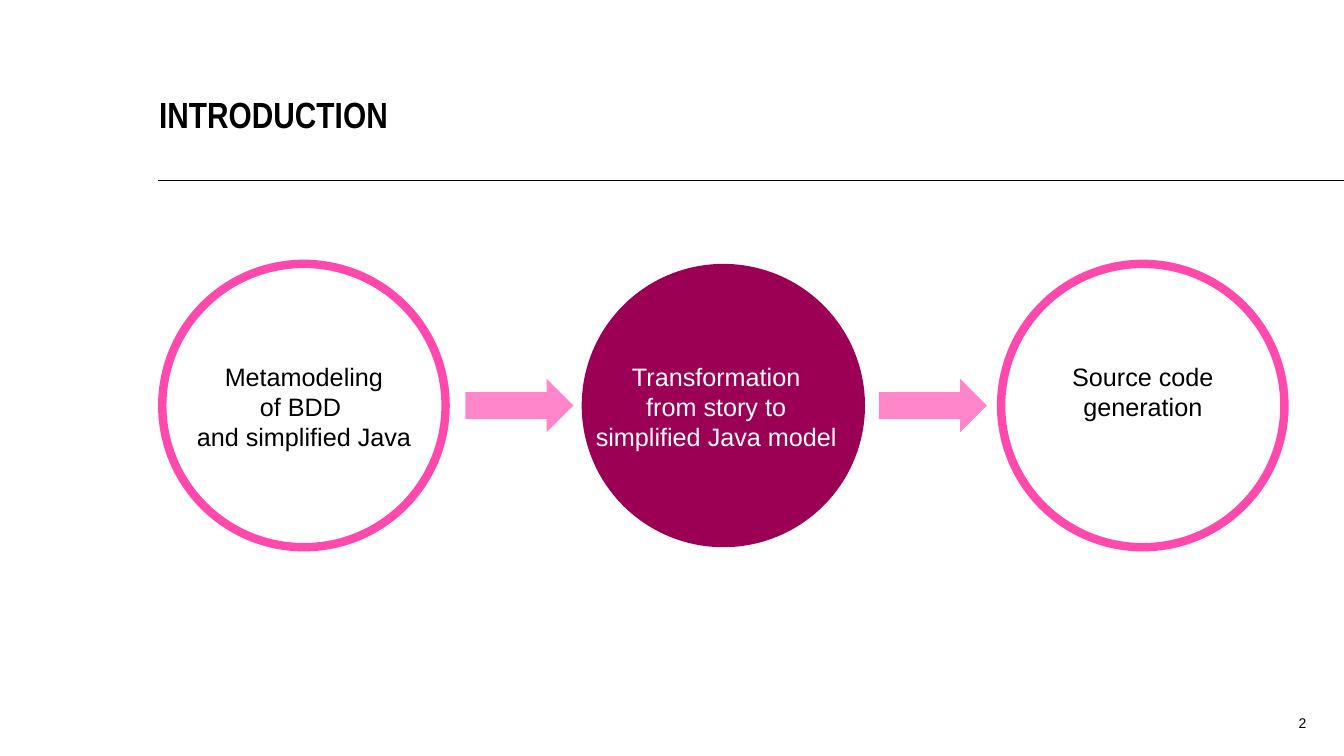
"""Builds the introduction slide: three circled steps joined by block arrows."""
from lxml.etree import SubElement
from pptx import Presentation
from pptx.dml.color import RGBColor
from pptx.enum.shapes import MSO_CONNECTOR, MSO_SHAPE
from pptx.enum.text import MSO_ANCHOR as ANCHOR, PP_ALIGN as ALIGN
from pptx.oxml.ns import qn
from pptx.util import Cm, Pt

TITLE = "INTRODUCTION"
PAGE = "2"
STEPS = [
    {"lines": ["Metamodeling", "of BDD ", "and simplified Java"], "width": 5.97, "shift": 0,
     "fill": None, "line": "ring", "text": "black"},
    {"lines": ["Transformation", "from story to", "simplified Java model"], "width": 6.63,
     "shift": -0.18, "fill": "plum", "line": None, "text": "white"},
    {"lines": ["Source code", "generation"], "width": 4.11, "shift": 0,
     "fill": None, "line": "ring", "text": "black"},
]
COLORS = {"black": "000000", "white": "FFFFFF", "ring": "FF49AD", "plum": "9B0055",
          "arrow": "FF86C9"}

SLIDE_W, SLIDE_H = 33.87, 19.05
RULE_X, RULE_Y = 3.99, 4.55
DIAMETER, CIRCLE_X, CIRCLE_Y, CIRCLE_STEP = 7.14, 4.09, 6.65, 10.57
ARROW_W, ARROW_H, ARROW_X, ARROW_STEP = 2.72, 1.35, 11.73, 10.42
TEXT_Y, LINE_H, TEXT_PAD = 8.97, 0.77, 0.26

TITLE_FONT = {"name": "Arial Narrow", "size": Pt(26), "bold": True}
STEP_FONT = {"name": "Arial", "size": Pt(18)}
PAGE_FONT = {"name": "Arial", "size": Pt(10)}
NO_MARGINS = {f"margin_{side}": 0 for side in ("left", "top", "right", "bottom")}


def rgb(name):
    return RGBColor.from_string(COLORS[name])


def set_all(target, values):
    for key, value in values.items():
        setattr(target, key, value)


def add_shape(s, kind, box, fill, line=None):
    sp = s.shapes.add_shape(kind, *map(Cm, box))
    sp.shadow.inherit = False
    if fill:
        sp.fill.solid()
        sp.fill.fore_color.rgb = rgb(fill)
    else:
        sp.fill.background()
    if line:
        sp.line.color.rgb = rgb(line)
        sp.line.width = Pt(6)
    else:
        sp.line.fill.background()


def add_text(s, box, lines, font, color, frame, para):
    tf = s.shapes.add_textbox(*map(Cm, box)).text_frame
    set_all(tf, frame)
    for i, line in enumerate(lines):
        p = tf.paragraphs[0] if i == 0 else tf.add_paragraph()
        set_all(p, para)
        r = p.add_run()
        r.text = line
        set_all(r.font, font)
        r.font.color.rgb = rgb(color)


def add_rule(s):
    rule = s.shapes.add_connector(MSO_CONNECTOR.STRAIGHT, Cm(RULE_X), Cm(RULE_Y),
                                  Cm(SLIDE_W), Cm(RULE_Y))
    rule.line.color.rgb = rgb("black")
    rule.line.width = Pt(1)
    SubElement(rule._element.spPr, qn("a:effectLst"))


def main():
    prs = Presentation()
    set_all(prs, {"slide_width": Cm(SLIDE_W), "slide_height": Cm(SLIDE_H)})
    s = prs.slides.add_slide(prs.slide_layouts[6])

    add_rule(s)
    add_text(s, (4.01, 1.4, 28.8, 2.03), [TITLE], TITLE_FONT, "black",
             {"word_wrap": True, "vertical_anchor": ANCHOR.BOTTOM, **NO_MARGINS},
             {"line_spacing": Pt(25), "alignment": ALIGN.LEFT})

    for i, step in enumerate(STEPS):
        x = CIRCLE_X + i * CIRCLE_STEP
        add_shape(s, MSO_SHAPE.OVAL, (x, CIRCLE_Y, DIAMETER, DIAMETER),
                  step["fill"], step["line"])
        text_x = x + (DIAMETER - step["width"]) / 2 + step["shift"]
        text_h = len(step["lines"]) * LINE_H + TEXT_PAD
        add_text(s, (text_x, TEXT_Y, step["width"], text_h), step["lines"], STEP_FONT,
                 step["text"], {"word_wrap": False}, {"alignment": ALIGN.CENTER})

    arrow_y = CIRCLE_Y + (DIAMETER - ARROW_H) / 2
    for i in range(len(STEPS) - 1):
        add_shape(s, MSO_SHAPE.RIGHT_ARROW,
                  (ARROW_X + i * ARROW_STEP, arrow_y, ARROW_W, ARROW_H), "arrow")

    add_text(s, (31.52, 17.78, 1.4, 1.32), [PAGE], PAGE_FONT, "black",
             {"word_wrap": True, "margin_right": 0},
             {"line_spacing": Pt(15), "alignment": ALIGN.RIGHT})
    prs.save("out.pptx")


if __name__ == "__main__":
    main()
